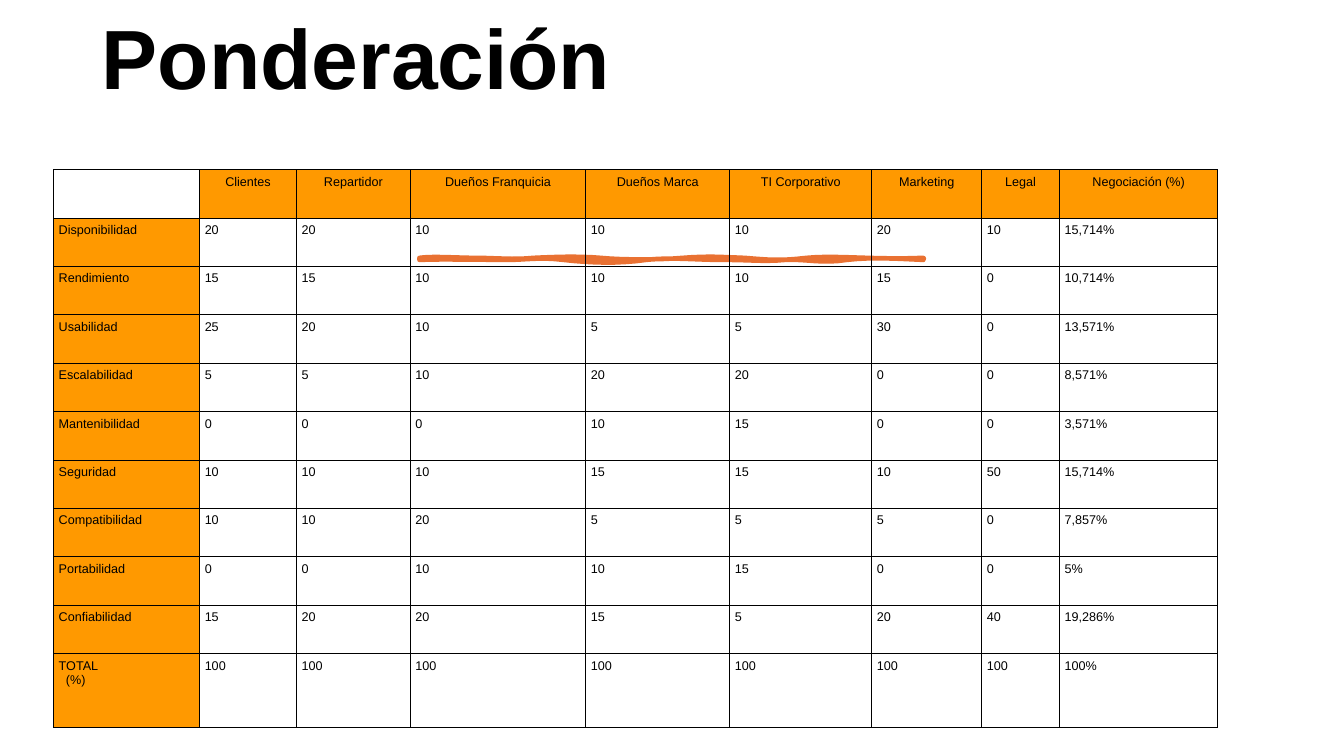
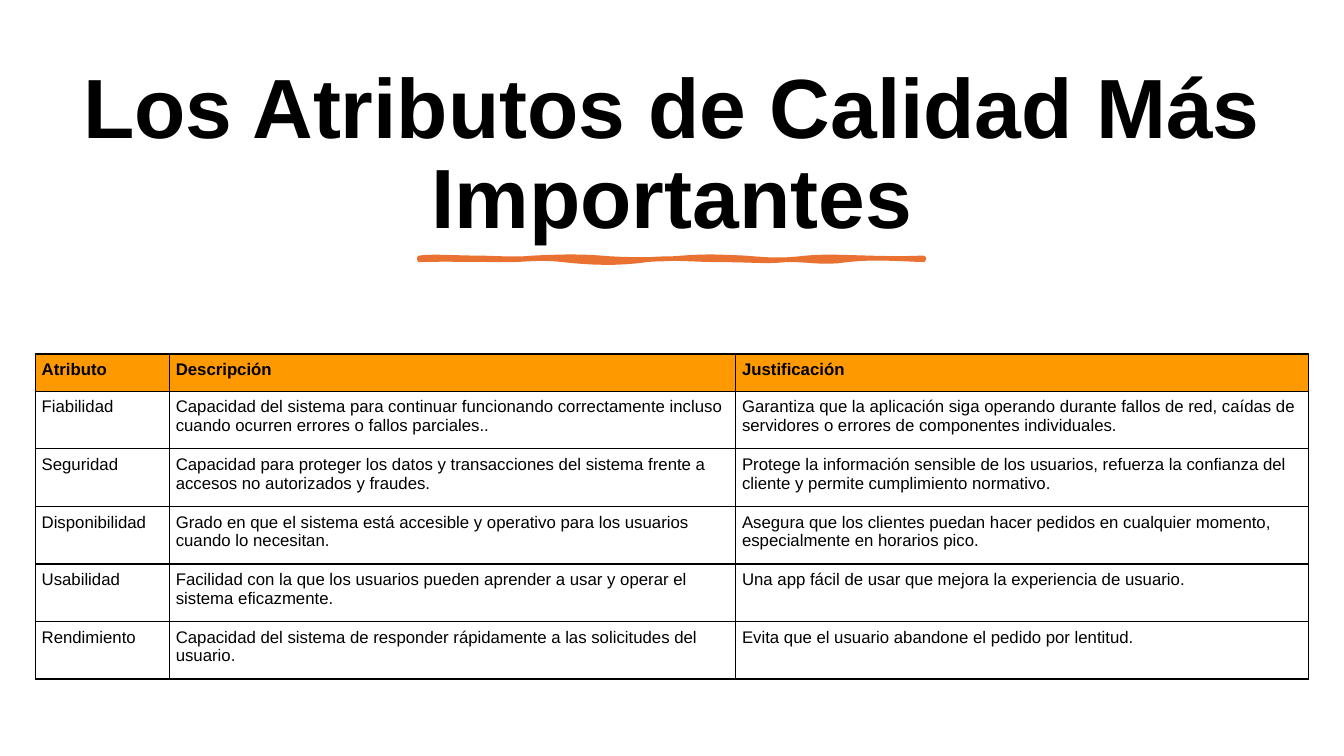
from lxml.etree import SubElement as Sub
from pptx import Presentation
from pptx.dml.color import RGBColor
from pptx.enum.text import MSO_ANCHOR as Anchor, MSO_AUTO_SIZE as Fit, PP_ALIGN as Align
from pptx.oxml.ns import qn
from pptx.util import Cm, Pt

FONT = "Arial"
BLACK, AMBER, RUST = "000000", "FF9900", "E97132"
UNIT = Cm(0.0254)

CURVES = [
    ((12, -2), (38, 0), (57, 0)),
    ((76, 0), (93, 2), (113, 0)),
    ((133, -1), (158, -2), (180, 0)),
    ((201, 2), (237, 2), (261, 0)),
    ((286, -2), (298, -1), (323, 0)),
    ((347, 2), (358, 3), (384, 0)),
    ((410, -3), (451, 2), (500, 0)),
    ((501, 1), (500, 1), (500, 2)),
    ((479, 1), (449, -1), (424, 2)),
    ((399, 6), (385, 1), (363, 2)),
    ((340, 4), (331, 2), (301, 2)),
    ((271, 2), (251, -1), (225, 2)),
    ((198, 6), (169, 5), (143, 2)),
    ((118, -1), (107, 2), (87, 2)),
    ((67, 2), (22, 1), (0, 2)),
]

SCORES = [
    ["", "Clientes", "Repartidor", "Dueños Franquicia", "Dueños Marca",
     "TI Corporativo", "Marketing", "Legal", "Negociación (%)"],
    ["Disponibilidad", 20, 20, 10, 10, 10, 20, 10, "15,714%"],
    ["Rendimiento", 15, 15, 10, 10, 10, 15, 0, "10,714%"],
    ["Usabilidad", 25, 20, 10, 5, 5, 30, 0, "13,571%"],
    ["Escalabilidad", 5, 5, 10, 20, 20, 0, 0, "8,571%"],
    ["Mantenibilidad", 0, 0, 0, 10, 15, 0, 0, "3,571%"],
    ["Seguridad", 10, 10, 10, 15, 15, 10, 50, "15,714%"],
    ["Compatibilidad", 10, 10, 20, 5, 5, 5, 0, "7,857%"],
    ["Portabilidad", 0, 0, 10, 10, 15, 0, 0, "5%"],
    ["Confiabilidad", 15, 20, 20, 15, 5, 20, 40, "19,286%"],
    ["TOTAL\n(%)"] + [100] * 7 + ["100%"],
]

TRAITS = [
    ["Atributo", "Descripción", "Justificación"],
    ["Fiabilidad",
     "Capacidad del sistema para continuar funcionando correctamente incluso cuando ocurren errores o fallos parciales..",
     "Garantiza que la aplicación siga operando durante fallos de red, caídas de servidores o errores de componentes individuales."],
    ["Seguridad",
     "Capacidad para proteger los datos y transacciones del sistema frente a accesos no autorizados y fraudes.",
     "Protege la información sensible de los usuarios, refuerza la confianza del cliente y permite cumplimiento normativo."],
    ["Disponibilidad",
     "Grado en que el sistema está accesible y operativo para los usuarios cuando lo necesitan.",
     "Asegura que los clientes puedan hacer pedidos en cualquier momento, especialmente en horarios pico."],
    ["Usabilidad",
     "Facilidad con la que los usuarios pueden aprender a usar y operar el sistema eficazmente.",
     "Una app fácil de usar que mejora la experiencia de usuario."],
    ["Rendimiento",
     "Capacidad del sistema de responder rápidamente a las solicitudes del usuario.",
     "Evita que el usuario abandone el pedido por lentitud."],
]

PAGES = [
    dict(title="Ponderación", box=(1.78, 0.56, 14.4, 2.29), data=SCORES,
         at=(1.35, 4.27), cols=[3.68, 2.44, 2.87, 4.42, 3.63, 3.58, 2.77, 1.96, 3.99],
         rows=[1.22] * 10 + [1.86], size=9, pad=0.13, edge=0.5,
         bold=False, head=Align.CENTER, side=True),
    dict(title="Los Atributos de Calidad Más Importantes", box=(1.78, 1.27, 30.3, 5.08),
         data=TRAITS, at=(0.89, 8.92), cols=[3.38, 14.27, 14.43],
         rows=[0.94] + [1.45] * 5, size=12, pad=0.16, edge=1,
         bold=True, head=Align.LEFT, side=False),
]


def paint(part, color):
    part.solid()
    part.fore_color.rgb = RGBColor.from_string(color)


def write(par, text, size, bold):
    run = par.add_run()
    run.text = text
    run.font.name = FONT
    run.font.size = Pt(size)
    run.font.bold = bold
    paint(run.font.fill, BLACK)


deck = Presentation()
deck.slide_width, deck.slide_height = Cm(33.87), Cm(19.05)

for page in PAGES:
    slide = deck.slides.add_slide(deck.slide_layouts[5])

    title = slide.shapes.title
    title.left, title.top, title.width, title.height = map(Cm, page["box"])
    frame = title.text_frame
    frame.word_wrap = True
    frame.auto_size = Fit.NONE
    frame.vertical_anchor = Anchor.BOTTOM
    par = frame.paragraphs[0]
    par.alignment = Align.CENTER
    par.line_spacing = 0.9
    write(par, page["title"], 60, True)

    dots = []
    last = (0, 0)
    for one, two, end in CURVES:
        for step in range(1, 9):
            t = step / 8
            u = 1 - t
            dots.append([
                (u**3 * a + 3 * u * u * t * b + 3 * u * t * t * c + t**3 * d) * UNIT
                for a, b, c, d in zip(last, one, two, end)])
        last = end
    pen = slide.shapes.build_freeform(0, 0)
    pen.add_line_segments(dots, close=True)
    wave = pen.convert_to_shape(Cm(10.57), Cm(6.5))
    wave.shadow.inherit = False
    paint(wave.fill, RUST)
    paint(wave.line.fill, RUST)
    wave.line.width = Pt(3.25)

    data, cols, rows = page["data"], page["cols"], page["rows"]
    left, top = page["at"]
    grid = slide.shapes.add_table(
        len(rows), len(cols), Cm(left), Cm(top), Cm(sum(cols)), Cm(sum(rows))).table
    grid.first_row = grid.horz_banding = False
    for col, width in zip(grid.columns, cols):
        col.width = Cm(width)
    for row, height in zip(grid.rows, rows):
        row.height = Cm(height)

    for r, line in enumerate(data):
        for c, value in enumerate(line):
            cell = grid.cell(r, c)
            cell.margin_left = cell.margin_right = Cm(page["pad"])
            cell.margin_top = cell.margin_bottom = Cm(page["pad"])
            props = cell._tc.get_or_add_tcPr()
            for side in ("a:lnL", "a:lnR", "a:lnT", "a:lnB"):
                edge = Sub(props, qn(side), w=str(Pt(page["edge"])))
                Sub(Sub(edge, qn("a:solidFill")), qn("a:srgbClr"), val=BLACK)
            if value != "" and (r == 0 or c == 0 and page["side"]):
                paint(cell.fill, AMBER)
            else:
                cell.fill.background()
            if value == "":
                continue
            for n, text in enumerate(str(value).split("\n")):
                par = cell.text_frame.add_paragraph() if n else cell.text_frame.paragraphs[0]
                par.alignment = page["head"] if r == 0 else Align.LEFT
                if n:
                    par._p.get_or_add_pPr().set("marL", str(Cm(0.18)))
                write(par, text, page["size"], page["bold"] and r == 0)

deck.save("out.pptx")
